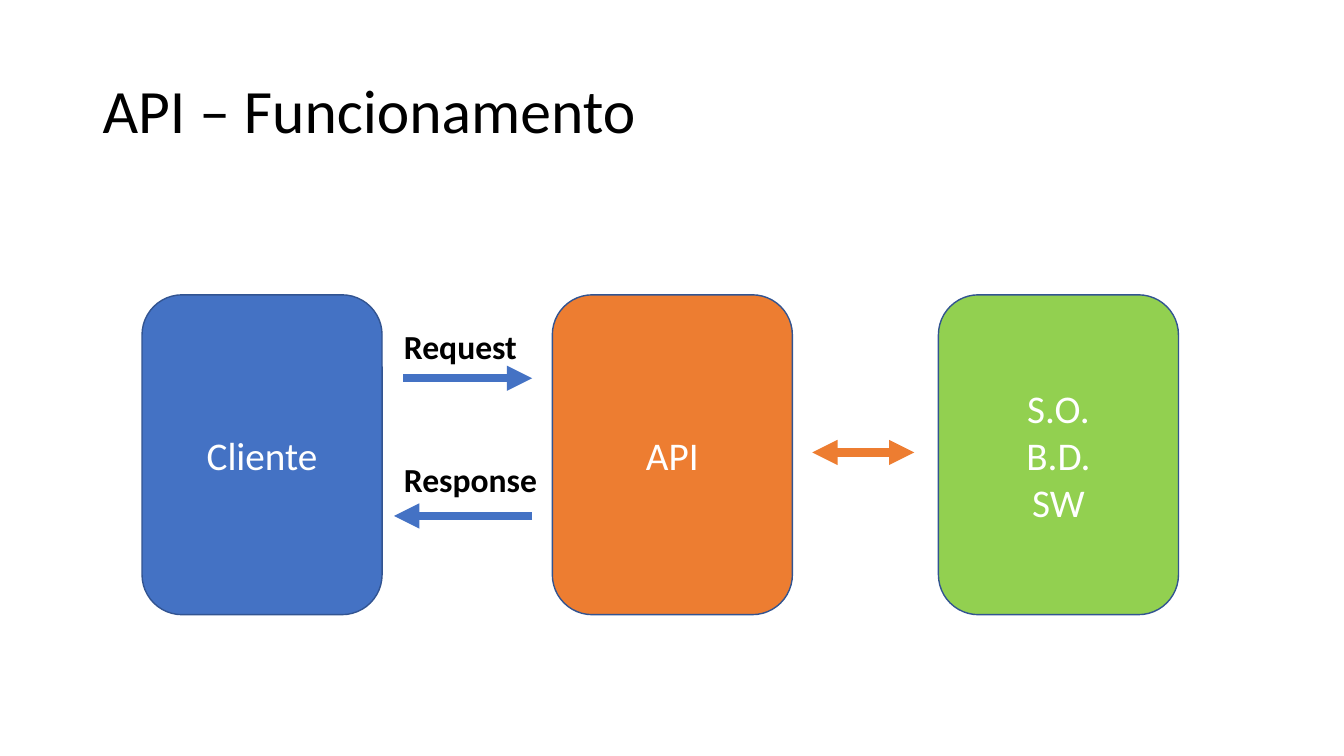
import pptx
import pptx.util
import pptx.dml.color
import pptx.enum.shapes
import pptx.enum.text
import pptx.oxml
import pptx.oxml.ns

Cm, Pt = pptx.util.Cm, pptx.util.Pt
ALIGN = pptx.enum.text.PP_ALIGN
ANCHOR = pptx.enum.text.MSO_ANCHOR
FIT = pptx.enum.text.MSO_AUTO_SIZE

COLORS = {
    "blue": "4472C4",
    "orange": "ED7D31",
    "green": "92D050",
    "edge": "325491",
    "black": "000000",
    "white": "FFFFFF",
}


def color(name):
    return pptx.dml.color.RGBColor.from_string(COLORS[name])


def write(frame, text, size, ink, align=ALIGN.LEFT, bold=False):
    frame.text = text
    for para in frame.paragraphs:
        para.alignment = align
        para.font.name = "Calibri"
        para.font.size = Pt(size)
        para.font.bold = bold
        para.font.color.rgb = color(ink)


def add_title(slide, text):
    title = slide.shapes.title
    title.left, title.top = Cm(2.33), Cm(1.01)
    title.width, title.height = Cm(29.21), Cm(3.68)
    frame = title.text_frame
    frame.auto_size = FIT.NONE
    frame.vertical_anchor = ANCHOR.MIDDLE
    write(frame, text, 44, "black")
    frame.paragraphs[0].line_spacing = 0.9


def add_block(slide, left, text, fill):
    block = slide.shapes.add_shape(
        pptx.enum.shapes.MSO_SHAPE.ROUNDED_RECTANGLE,
        Cm(left), Cm(7.43), Cm(6.05), Cm(8.06))
    block.shadow.inherit = False
    block.fill.solid()
    block.fill.fore_color.rgb = color(fill)
    block.line.color.rgb = color("edge")
    block.line.width = Pt(1)
    block.text_frame.vertical_anchor = ANCHOR.MIDDLE
    write(block.text_frame, text, 28, "white", ALIGN.CENTER)


def add_arrow(slide, start, end, y, ink, ends=("tailEnd",)):
    arrow = slide.shapes.add_connector(
        pptx.enum.shapes.MSO_CONNECTOR.STRAIGHT,
        Cm(start), Cm(y), Cm(end), Cm(y))
    arrow.line.color.rgb = color(ink)
    arrow.line.width = Pt(6)
    # Arrowheads, then an empty effect list against the shadow
    line = arrow.line._get_or_add_ln()
    for tag in ends:
        head = pptx.oxml.ns.qn("a:" + tag)
        line.append(line.makeelement(head, {"type": "triangle"}))
    props = arrow._element.spPr
    props.append(props.makeelement(pptx.oxml.ns.qn("a:effectLst"), {}))


def add_label(slide, top, width, text):
    box = slide.shapes.add_textbox(Cm(9.93), Cm(top), Cm(width), Cm(1.27))
    box.text_frame.word_wrap = True
    box.text_frame.auto_size = FIT.SHAPE_TO_FIT_TEXT
    write(box.text_frame, text, 24, "black", bold=True)


def main():
    deck = pptx.Presentation()
    deck.slide_width, deck.slide_height = Cm(33.87), Cm(19.05)
    slide = deck.slides.add_slide(deck.slide_layouts[5])
    add_title(slide, "API – Funcionamento")

    # Client, interface and back end
    add_block(slide, 3.58, "Cliente", "blue")
    add_block(slide, 13.92, "API", "orange")
    add_block(slide, 23.65, "S.O.\nB.D.\nSW", "green")

    # Traffic between the blocks
    add_arrow(slide, 10.16, 13.41, 9.53, "blue")
    add_arrow(slide, 13.41, 9.93, 13, "blue")
    add_arrow(slide, 20.47, 23.04, 11.4, "orange", ("headEnd", "tailEnd"))
    add_label(slide, 8.08, 3.84, "Request")
    add_label(slide, 11.43, 4.04, "Response")

    deck.save("out.pptx")


if __name__ == "__main__":
    main()
